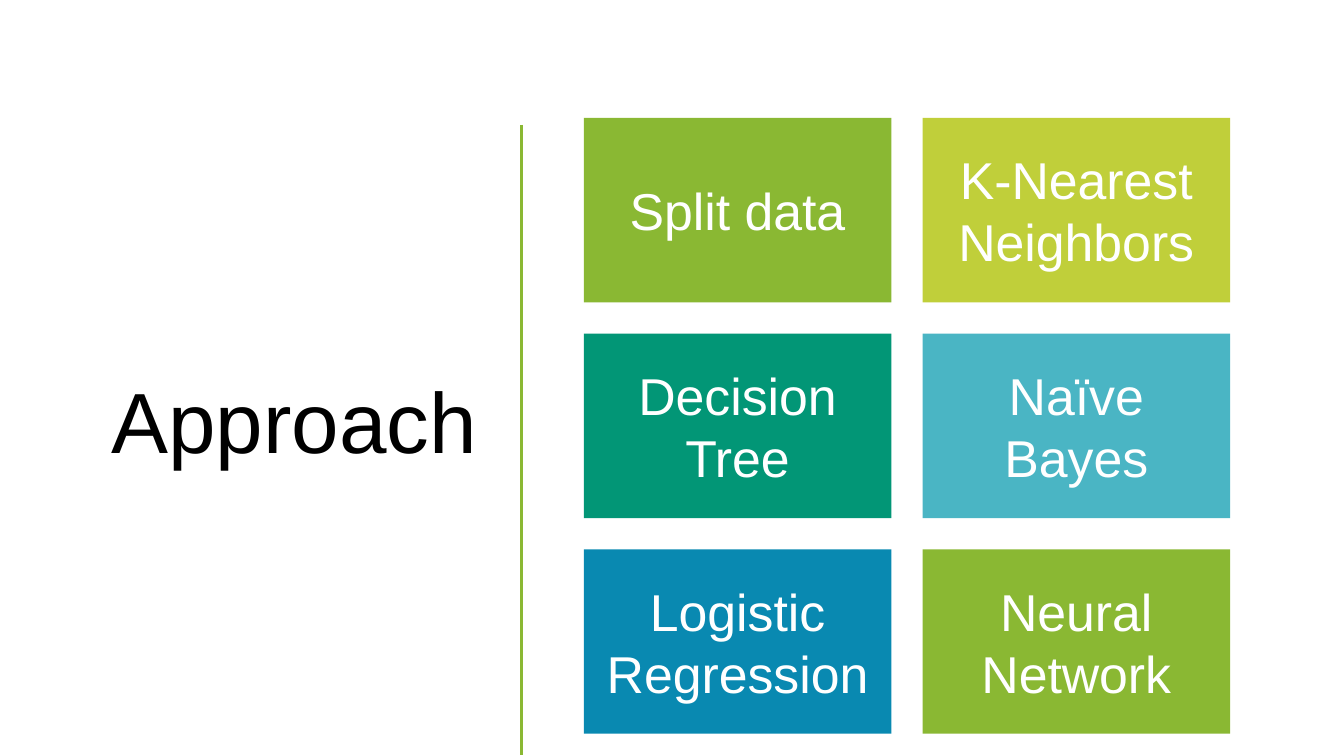
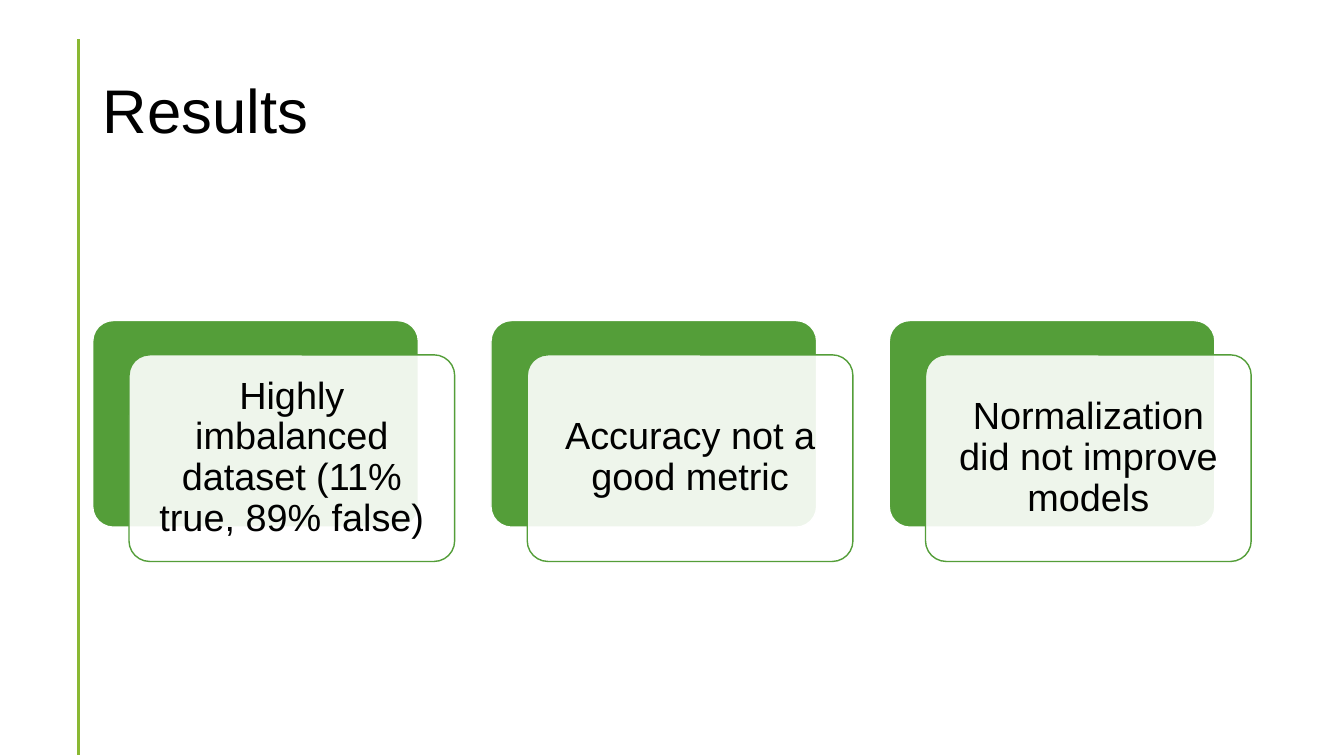
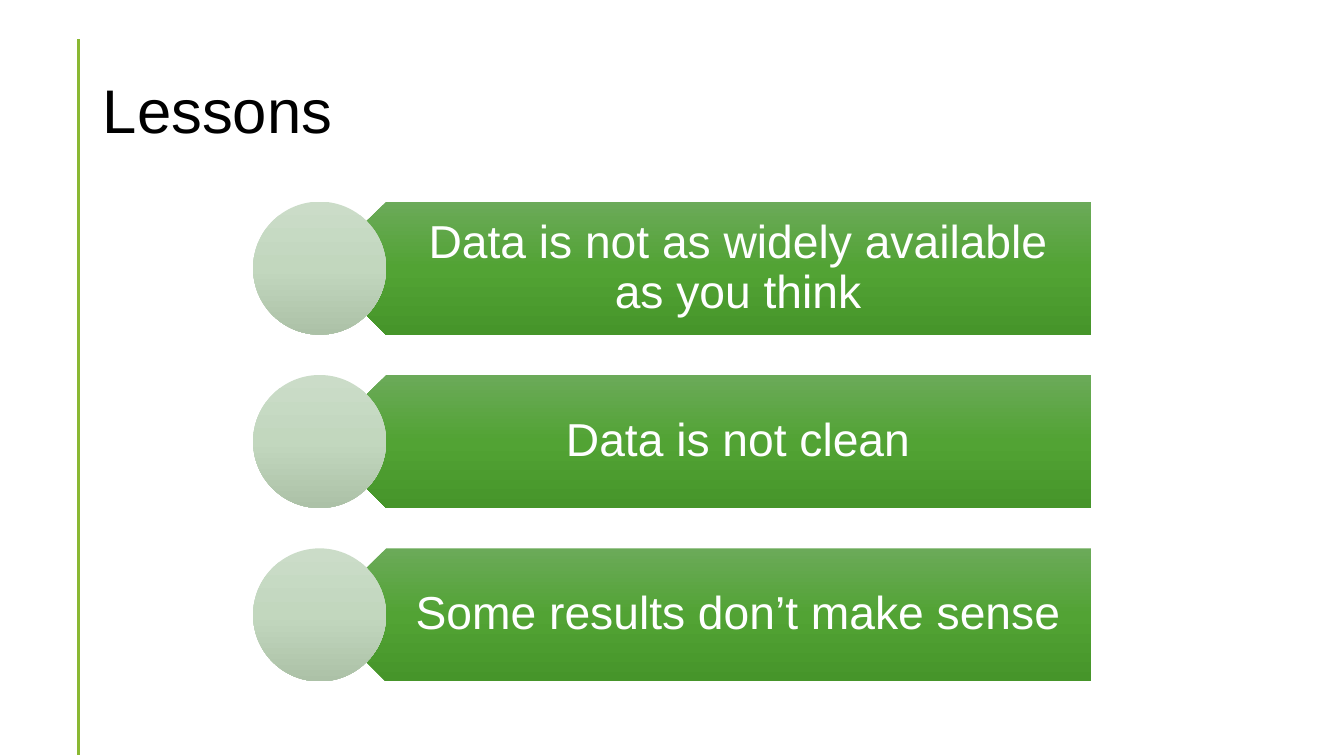
import pptx
import pptx.dml.color
import pptx.enum.shapes
import pptx.enum.text
import pptx.oxml.ns
import pptx.util
import lxml.etree
from dataclasses import dataclass

Inches = pptx.util.Inches
Shape = pptx.enum.shapes.MSO_SHAPE
Align = pptx.enum.text.PP_ALIGN
qn = pptx.oxml.ns.qn


@dataclass(frozen=True)
class Theme:
    font: str = "Arial"
    black: str = "000000"
    white: str = "FFFFFF"
    lime: str = "8AB833"
    sun: str = "C0CF3A"
    teal: str = "029676"
    aqua: str = "4AB5C4"
    blue: str = "0989B1"
    green: str = "549E39"
    band: tuple = ("6BAA59", "52A334", "46952A")
    disc: tuple = ("CBDCC8", "C2D7BE", "ACC1A7")
    hero: int = 61
    head: int = 44
    tile: int = 37
    bar: int = 33
    card: int = 27


theme = Theme()


def color(code):
    return pptx.dml.color.RGBColor.from_string(code)


def write(shape, text, size, tint=theme.white, align=Align.CENTER,
          pads=(0.1, 0.05, 0.1, 0.05), space=0.9):
    frame = shape.text_frame
    frame.word_wrap = True
    frame.auto_size = pptx.enum.text.MSO_AUTO_SIZE.NONE
    frame.vertical_anchor = pptx.enum.text.MSO_ANCHOR.MIDDLE
    (frame.margin_left, frame.margin_top,
     frame.margin_right, frame.margin_bottom) = map(Inches, pads)
    para = frame.paragraphs[0]
    para.alignment = align
    para.line_spacing = space
    run = para.add_run()
    run.text = text
    run.font.name = theme.font
    run.font.size = pptx.util.Pt(size)
    run.font.color.rgb = color(tint)


def paint(shape, fill, line=None, alpha=None):
    shape.shadow.inherit = False
    shape.fill.solid()
    shape.fill.fore_color.rgb = color(fill)
    if alpha:
        tone = shape.fill._xPr.find(".//" + qn("a:srgbClr"))
        lxml.etree.SubElement(tone, qn("a:alpha"), val=str(alpha * 1000))
    if line:
        shape.line.color.rgb = color(line)
        shape.line.width = pptx.util.Pt(1)
    else:
        shape.line.fill.background()


def shade(shape, tones):
    shape.shadow.inherit = False
    shape.line.fill.background()
    shape.fill.gradient()
    shape.fill.gradient_angle = 270
    stops = shape.fill._xPr.find(".//" + qn("a:gsLst"))
    for stop in list(stops):
        stops.remove(stop)
    for spot, tone in zip((0, 50000, 100000), tones):
        stop = lxml.etree.SubElement(stops, qn("a:gs"), pos=str(spot))
        lxml.etree.SubElement(stop, qn("a:srgbClr"), val=tone)


def draw(slide, kind, box):
    return slide.shapes.add_shape(kind, *map(Inches, box))


def rule(slide, left, top):
    line = slide.shapes.add_connector(
        pptx.enum.shapes.MSO_CONNECTOR.STRAIGHT,
        *map(Inches, (left, top, left, 7.49)))
    line.line.color.rgb = color(theme.lime)
    line.line.width = pptx.util.Pt(2)
    lxml.etree.SubElement(line._element.spPr, qn("a:effectLst"))


def start(deck, text, box=(0.92, 0.4, 11.5, 1.45), size=theme.head,
          align=Align.LEFT, edge=(0.78, 0.39)):
    slide = deck.slides.add_slide(deck.slide_layouts[5])
    rule(slide, *edge)
    title = slide.shapes.title
    title.left, title.top, title.width, title.height = map(Inches, box)
    write(title, text, size, tint=theme.black, align=align)
    return slide


def tile(slide, left, top, text, fill):
    box = draw(slide, Shape.RECTANGLE, (left, top, 3.05, 1.83))
    paint(box, fill)
    write(box, text, theme.tile, pads=(0.15,) * 4, space=1.0)


def card(slide, left, top, text):
    back = draw(slide, Shape.ROUNDED_RECTANGLE, (left, top, 3.23, 2.05))
    paint(back, theme.green, line=theme.white)
    front = draw(slide, Shape.ROUNDED_RECTANGLE,
                 (left + 0.36, top + 0.34, 3.23, 2.05))
    paint(front, theme.white, line=theme.green, alpha=90)
    for box in (back, front):
        box.adjustments[0] = 0.1
    write(front, text, theme.card, tint=theme.black, pads=(0.11,) * 4)


def banner(slide, left, top, text):
    size = 1.32
    tip, neck, end = left + size / 2, left + size, left + 8.31
    mid, base = top + size / 2, top + size
    path = slide.shapes.build_freeform(Inches(end), Inches(base))
    spots = [(neck, base), (tip, mid), (neck, top), (end, top)]
    path.add_line_segments([(Inches(x), Inches(y)) for x, y in spots])
    bar = path.convert_to_shape()
    shade(bar, theme.band)
    write(bar, text, theme.bar, pads=(0.91, 0.14, 0.26, 0.14))
    shade(draw(slide, Shape.OVAL, (left, top, size, size)), theme.disc)


def main():
    deck = pptx.Presentation()
    deck.slide_width, deck.slide_height = Inches(13.33), Inches(7.5)

    slide = start(deck, "Approach", box=(0.52, 1.17, 4.31, 6.11),
                  size=theme.hero, align=Align.RIGHT, edge=(5.17, 1.24))
    tiles = [
        ("Split data", theme.lime), ("K-Nearest Neighbors", theme.sun),
        ("Decision Tree", theme.teal), ("Naïve Bayes", theme.aqua),
        ("Logistic Regression", theme.blue), ("Neural Network", theme.lime),
    ]
    for i, (text, fill) in enumerate(tiles):
        row, col = divmod(i, 2)
        tile(slide, 5.79 + col * 3.36, 1.17 + row * 2.14, text, fill)

    slide = start(deck, "Results")
    cards = ["Highly imbalanced dataset (11% true, 89% false)",
             "Accuracy not a good metric",
             "Normalization did not improve models"]
    for i, text in enumerate(cards):
        card(slide, 0.92 + i * 3.95, 3.18, text)

    slide = start(deck, "Lessons")
    bars = ["Data is not as widely available as you think",
            "Data is not clean",
            "Some results don’t make sense"]
    for i, text in enumerate(bars):
        banner(slide, 2.51, 2 + i * 1.72, text)

    deck.save("out.pptx")


if __name__ == "__main__":
    main()
